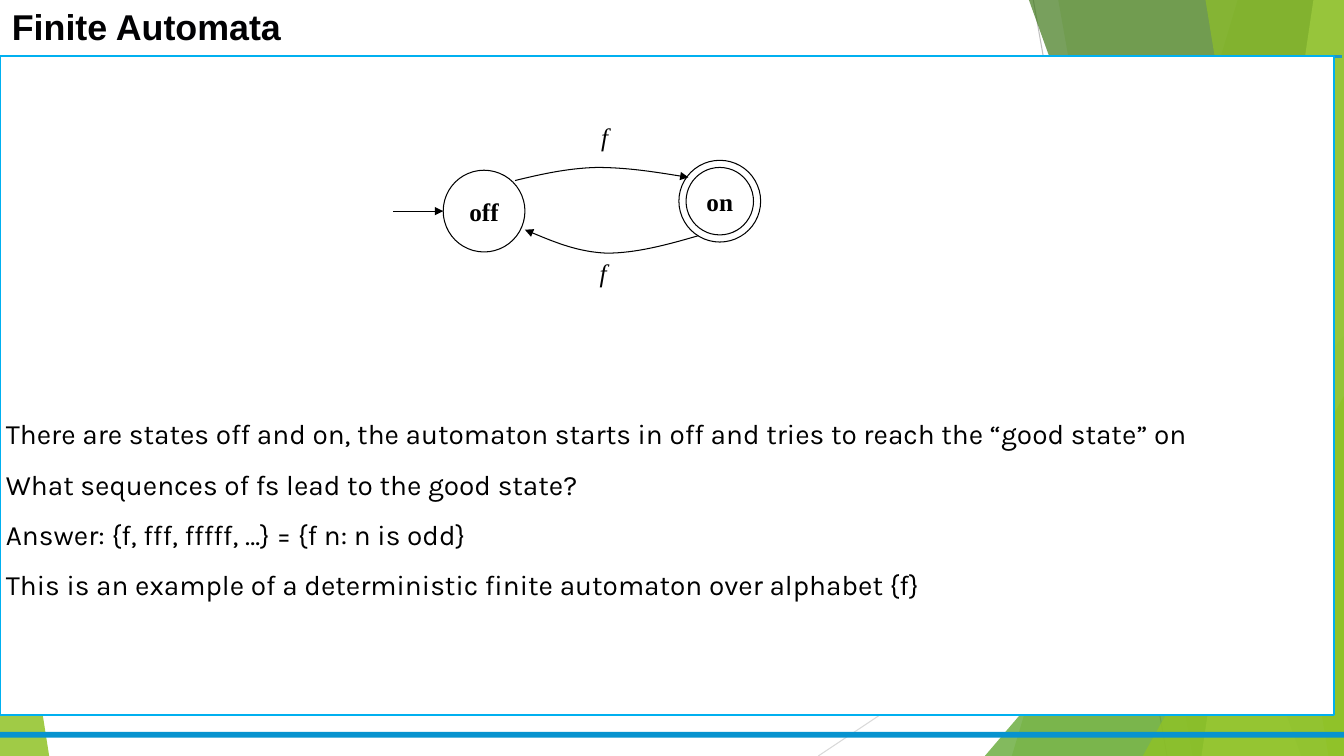
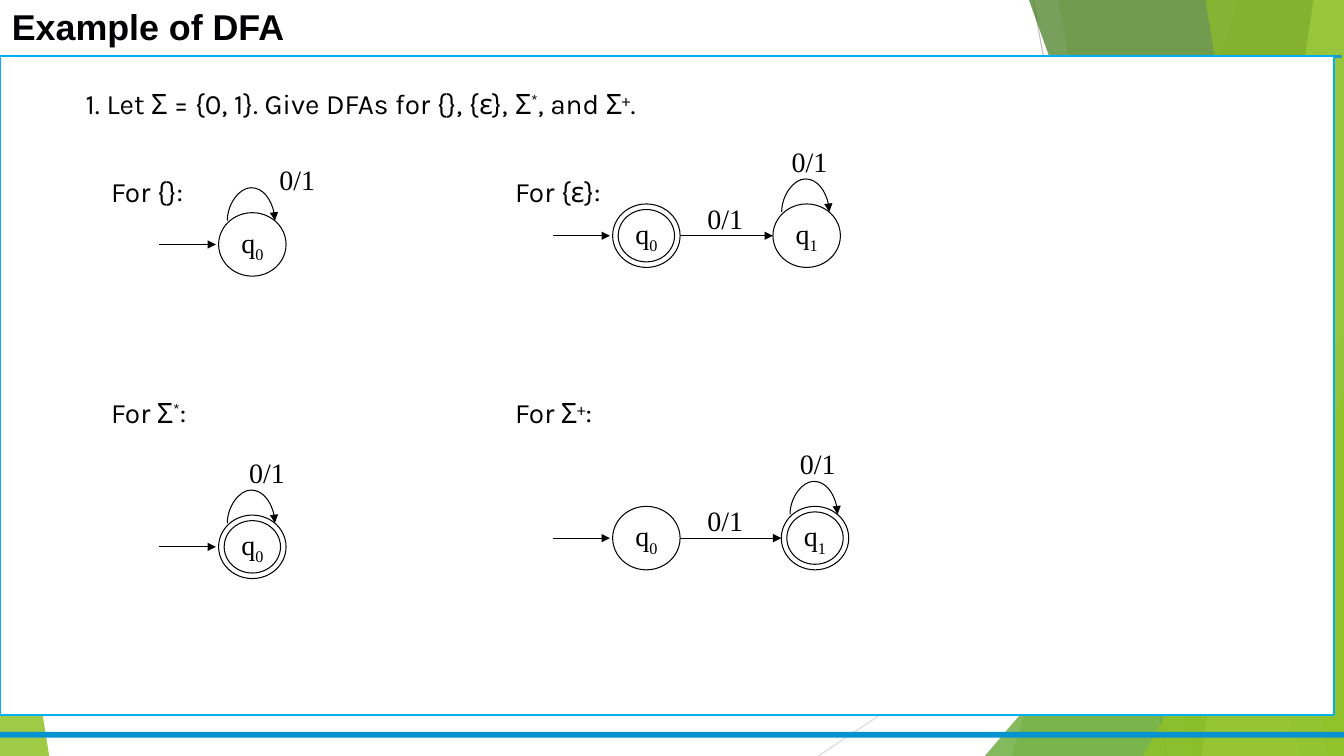
from lxml import etree
from pptx import Presentation
from pptx.dml.color import RGBColor
from pptx.enum.shapes import MSO_CONNECTOR, MSO_SHAPE
from pptx.enum.text import MSO_ANCHOR, MSO_AUTO_SIZE, PP_ALIGN
from pptx.oxml.ns import qn
from pptx.util import Cm, Pt

STRAIGHT = MSO_CONNECTOR.STRAIGHT
ELLIPSE, RECTANGLE, TRIANGLE = MSO_SHAPE.OVAL, MSO_SHAPE.RECTANGLE, MSO_SHAPE.ISOSCELES_TRIANGLE
LEFT, CENTER = PP_ALIGN.LEFT, PP_ALIGN.CENTER
TOP, MIDDLE = MSO_ANCHOR.TOP, MSO_ANCHOR.MIDDLE
NO_AUTOFIT = MSO_AUTO_SIZE.NONE

WIDTH, HEIGHT = 33.87, 19.05
COLOURS = {
    "ink": "000000", "title": "010103", "white": "FFFFFF",
    "rule": "1F97C8", "footer": "0793CF", "frame": "00B0F0",
    "grey": "BFBFBF", "pale grey": "D9D9D9",
    "green": "90C226", "mid green": "54A021", "dark green": "3F7819", "light green": "C0E474",
}
TITLE_FONT, BODY_FONT, DIAGRAM_FONT = "Arial", "Karla", "Times New Roman"
SUPERSCRIPT, SUBSCRIPT = 30000, -25000

# Hairlines: start, end, colour
HAIRLINES = [((26.04, 0), (29.41, HEIGHT), "grey"), ((WIDTH, 10.24), (20.62, HEIGHT), "pale grey")]
# Bands run from top x to bottom x and fill to the right edge; triangles stand on the bottom edge
FACETS = [
    {"top_x": 31.19, "bottom_x": 25.5, "colour": "green", "opacity": 30},
    {"top_x": 26.67, "bottom_x": 30.05, "colour": "green", "opacity": 20},
    {"triangle": (24.82, 8.46, 9.05), "apex": 1, "colour": "mid green", "opacity": 72},
    {"top_x": 25.93, "bottom_x": 32.79, "colour": "dark green", "opacity": 70},
    {"top_x": 33.1, "bottom_x": 30.28, "colour": "light green", "opacity": 70},
    {"top_x": 30.38, "bottom_x": 33.48, "colour": "green", "opacity": 65},
    {"triangle": (28.8, 9.98, 5.07), "apex": 1, "colour": "green", "opacity": 80},
    {"triangle": (0, 11.15, 1.24), "apex": 0, "colour": "green", "opacity": 85},
]

SWITCH_TITLE = "Finite Automata"
SWITCH_STATES = [("off", 12.2, 5.32, False), ("on", 18.14, 5.07, True)]
SWITCH_ARCS = [
    [(12.98, 4.55), (13.64, 4.39), (14.3, 4.24), (15.04, 4.22),
     (15.77, 4.22), (16.56, 4.34), (17.35, 4.47)],
    [(17.6, 5.94), (16.81, 6.17), (16.03, 6.38), (15.29, 6.38),
     (14.58, 6.35), (13.89, 6.07), (13.23, 5.79)],
]
SWITCH_LABELS = [("f", 15.24, 3.45), ("f", 15.2, 6.86)]
SWITCH_TEXT = [
    "There are states off and on, the automaton starts in off and tries to reach "
    "the “good state” on",
    "What sequences of fs lead to the good state?",
    "Answer: {f, fff, fffff, …} = {f n: n is odd}",
    "This is an example of a deterministic finite automaton over alphabet {f}",
]

DFA_TITLE = "Example of DFA"
DFA_PROMPT = [("1. Let Σ = {0, 1}. Give DFAs for {}, {ε}, Σ", 0), ("*", SUPERSCRIPT),
              (", and Σ", 0), ("+", SUPERSCRIPT), (".", 0)]
# The states are named q0, q1, ... from left to right; the last one carries the loop
DFAS = [
    {"label": [("For {}:", 0)], "label_at": (2.8, 4.4), "y": 6.16,
     "states": [(6.36, False)], "loop_label": (1.13, -1.65)},
    {"label": [("For {ε}:", 0)], "label_at": (12.98, 4.4), "y": 5.94,
     "states": [(16.29, True), (20.33, False)], "loop_label": (0.07, -1.88)},
    {"label": [("For Σ", 0), ("*", SUPERSCRIPT), (":", 0)], "label_at": (2.8, 9.97), "y": 13.78,
     "states": [(6.36, True)], "loop_label": (0.37, -1.88)},
    {"label": [("For Σ", 0), ("+", SUPERSCRIPT), (":", 0)], "label_at": (12.98, 9.97), "y": 13.56,
     "states": [(16.29, False), (20.54, True)], "loop_label": (0.07, -1.88)},
]
STATE_SIZE, INNER_SIZE = (1.7, 1.6), (1.42, 1.32)
SYMBOLS = "0/1"


def colour(name):
    return RGBColor.from_string(COLOURS[name])


def paint(shape, fill=None, line=None, line_width=0.75, opacity=100):
    shape.shadow.inherit = False
    if fill:
        shape.fill.solid()
        shape.fill.fore_color.rgb = colour(fill)
        if opacity < 100:
            tint = shape._element.spPr.find(".//" + qn("a:srgbClr"))
            etree.SubElement(tint, qn("a:alpha"), val=str(opacity * 1000))
    else:
        shape.fill.background()
    if line:
        shape.line.color.rgb = colour(line)
        shape.line.width = Pt(line_width)
    else:
        shape.line.fill.background()


def add_arrowhead(line):
    etree.SubElement(line._get_or_add_ln(), qn("a:tailEnd"), type="triangle")


def add_line(page, start, end, line="ink", line_width=0.75, arrow=False):
    connector = page.shapes.add_connector(STRAIGHT, *(Cm(value) for value in (*start, *end)))
    connector.line.color.rgb = colour(line)
    connector.line.width = Pt(line_width)
    if arrow:
        add_arrowhead(connector.line)
    etree.SubElement(connector._element.spPr, qn("a:effectLst"))


def add_preset(page, kind, left, top, width, height, **look):
    shape = page.shapes.add_shape(kind, Cm(left), Cm(top), Cm(width), Cm(height))
    paint(shape, **look)
    return shape


def add_outline(page, points, closed):
    first, *rest = [(Cm(x), Cm(y)) for x, y in points]
    builder = page.shapes.build_freeform(*first)
    builder.add_line_segments(rest, close=closed)
    return builder.convert_to_shape()


def add_curved_arrow(page, points):
    """Draw cubic curves: a start, then two controls and an end for each curve."""
    shape = add_outline(page, points, closed=False)
    path = shape._element.find(".//" + qn("a:path"))
    segments = path.findall(qn("a:lnTo"))
    for first in range(0, len(segments), 3):
        curve = etree.SubElement(path, qn("a:cubicBezTo"))
        for segment in segments[first:first + 3]:
            curve.append(segment[0])
            path.remove(segment)
    paint(shape, line="ink")
    add_arrowhead(shape.line)


def set_frame(frame, anchor, wrap):
    frame.margin_left = frame.margin_right = frame.margin_top = frame.margin_bottom = 0
    frame.vertical_anchor = anchor
    frame.word_wrap = wrap


def format_font(font, name, size, ink="ink", bold=False, italic=False):
    font.name, font.size, font.bold, font.italic = name, Pt(size), bold, italic
    font.color.rgb = colour(ink)


def write_spans(para, spans, name, size, align=LEFT, **style):
    """Fill a paragraph from (text, baseline shift) pairs."""
    para.alignment = align
    for content, shift in spans:
        span = para.add_run()
        span.text = content
        format_font(span.font, name, size, **style)
        if shift:
            span._r.get_or_add_rPr().set("baseline", str(shift))


def add_body(page, paragraphs, left, top, width, height):
    box = page.shapes.add_textbox(Cm(left), Cm(top), Cm(width), Cm(height))
    frame = box.text_frame
    set_frame(frame, TOP, True)
    for index, spans in enumerate(paragraphs):
        para = frame.add_paragraph() if index else frame.paragraphs[0]
        write_spans(para, spans, BODY_FONT, 20)
        if index:
            para.space_before = Pt(12)


def add_symbol(page, content, x, y, size, italic=False):
    """Write a transition label centred on a point."""
    width, height = 1.4, 1
    box = page.shapes.add_textbox(Cm(x - width / 2), Cm(y - height / 2), Cm(width), Cm(height))
    set_frame(box.text_frame, MIDDLE, False)
    write_spans(box.text_frame.paragraphs[0], [(content, 0)], DIAGRAM_FONT, size, CENTER,
                italic=italic)


def add_state(page, spans, x, y, accepting, size, inner, points, bold=False):
    for width, height in [size, inner] if accepting else [size]:
        ring = add_preset(page, ELLIPSE, x - width / 2, y - height / 2, width, height, line="ink")
        if (width, height) == size:
            set_frame(ring.text_frame, MIDDLE, False)
            write_spans(ring.text_frame.paragraphs[0], spans, DIAGRAM_FONT, points, CENTER,
                        bold=bold)


def add_loop(page, x, y):
    """Draw the arrow that leaves a state at its upper left and returns at its upper right."""
    left, middle, right = x - 0.63, x - 0.03, x + 0.57
    foot, apex = y - 0.6, y - 1.43
    shoulder, quarter = (foot + apex) / 2, (right - left) / 4
    add_curved_arrow(page, [
        (left, foot), (left, shoulder), (left + quarter, apex), (middle, apex),
        (right - quarter, apex), (right, shoulder), (right, foot)])


def add_dfa(page, dfa):
    y = dfa["y"]
    add_body(page, [dfa["label"]], *dfa["label_at"], 4, 1)
    first_x, last_x = dfa["states"][0][0], dfa["states"][-1][0]
    add_line(page, (first_x - 2.35, y), (first_x - 0.92, y), arrow=True)
    for index, (x, accepting) in enumerate(dfa["states"]):
        spans = [("q", 0), (str(index), SUBSCRIPT)]
        add_state(page, spans, x, y, accepting, STATE_SIZE, INNER_SIZE, 20)
    if last_x > first_x:
        radius = STATE_SIZE[0] / 2
        add_line(page, (first_x + radius, y), (last_x - radius, y), arrow=True)
        add_symbol(page, SYMBOLS, first_x + 1.99, y - 0.45, 20)
    add_loop(page, last_x, y)
    shift_x, shift_y = dfa["loop_label"]
    add_symbol(page, SYMBOLS, last_x + shift_x, y + shift_y, 20)


def add_backdrop(page):
    for start, end, line in HAIRLINES:
        add_line(page, start, end, line)
    for facet in FACETS:
        if "triangle" in facet:
            left, top, width = facet["triangle"]
            shape = add_preset(page, TRIANGLE, left, top, width, HEIGHT - top)
            shape.adjustments[0] = facet["apex"]
        else:
            corners = [(facet["top_x"], 0), (WIDTH, 0), (WIDTH, HEIGHT), (facet["bottom_x"], HEIGHT)]
            shape = add_outline(page, corners, closed=True)
        paint(shape, fill=facet["colour"], opacity=facet["opacity"])
    add_line(page, (0.03, 1.42), (33.83, 1.42), "rule", 2.25)
    add_preset(page, RECTANGLE, 0, 18.44, WIDTH, 0.15, fill="footer")
    add_preset(page, RECTANGLE, 0, 1.42, 33.63, 16.61, fill="white", line="frame", line_width=1.5)


def move_to_layout(page, layout):
    """Make the page's drawn shapes part of its layout, so that all pages share them."""
    for holder in list(layout.placeholders)[1:]:
        holder._element.getparent().remove(holder._element)
    for shape in list(page.shapes):
        if not shape.is_placeholder:
            layout.shapes._spTree.append(shape._element)


def set_title(page, content):
    title = page.shapes.title
    title.left, title.top, title.width, title.height = Cm(0.3), Cm(0.13), Cm(20), Cm(1.1)
    frame = title.text_frame
    frame.text = content
    frame.auto_size = NO_AUTOFIT
    set_frame(frame, TOP, True)
    frame.paragraphs[0].alignment = LEFT
    format_font(frame.paragraphs[0].runs[0].font, TITLE_FONT, 25.6, "title", bold=True)


def fill_switch_page(page):
    set_title(page, SWITCH_TITLE)
    add_line(page, (9.91, 5.32), (11.17, 5.32), arrow=True)
    for name, x, y, accepting in SWITCH_STATES:
        add_state(page, [(name, 0)], x, y, accepting, (2.06, 2.06), (1.7, 1.7), 18, bold=True)
    for points in SWITCH_ARCS:
        add_curved_arrow(page, points)
    for content, x, y in SWITCH_LABELS:
        add_symbol(page, content, x, y, 18, italic=True)
    add_body(page, [[(line, 0)] for line in SWITCH_TEXT], 0.15, 10.5, 33.3, 5)


def fill_dfa_page(page):
    set_title(page, DFA_TITLE)
    add_body(page, [DFA_PROMPT], 2.16, 2.18, 21, 1)
    for dfa in DFAS:
        add_dfa(page, dfa)


def main():
    deck = Presentation()
    deck.slide_width, deck.slide_height = Cm(WIDTH), Cm(HEIGHT)
    layout = deck.slide_layouts[5]
    pages = [deck.slides.add_slide(layout) for _ in range(2)]
    add_backdrop(pages[0])
    move_to_layout(pages[0], layout)
    fill_switch_page(pages[0])
    fill_dfa_page(pages[1])
    deck.save("out.pptx")


if __name__ == "__main__":
    main()
